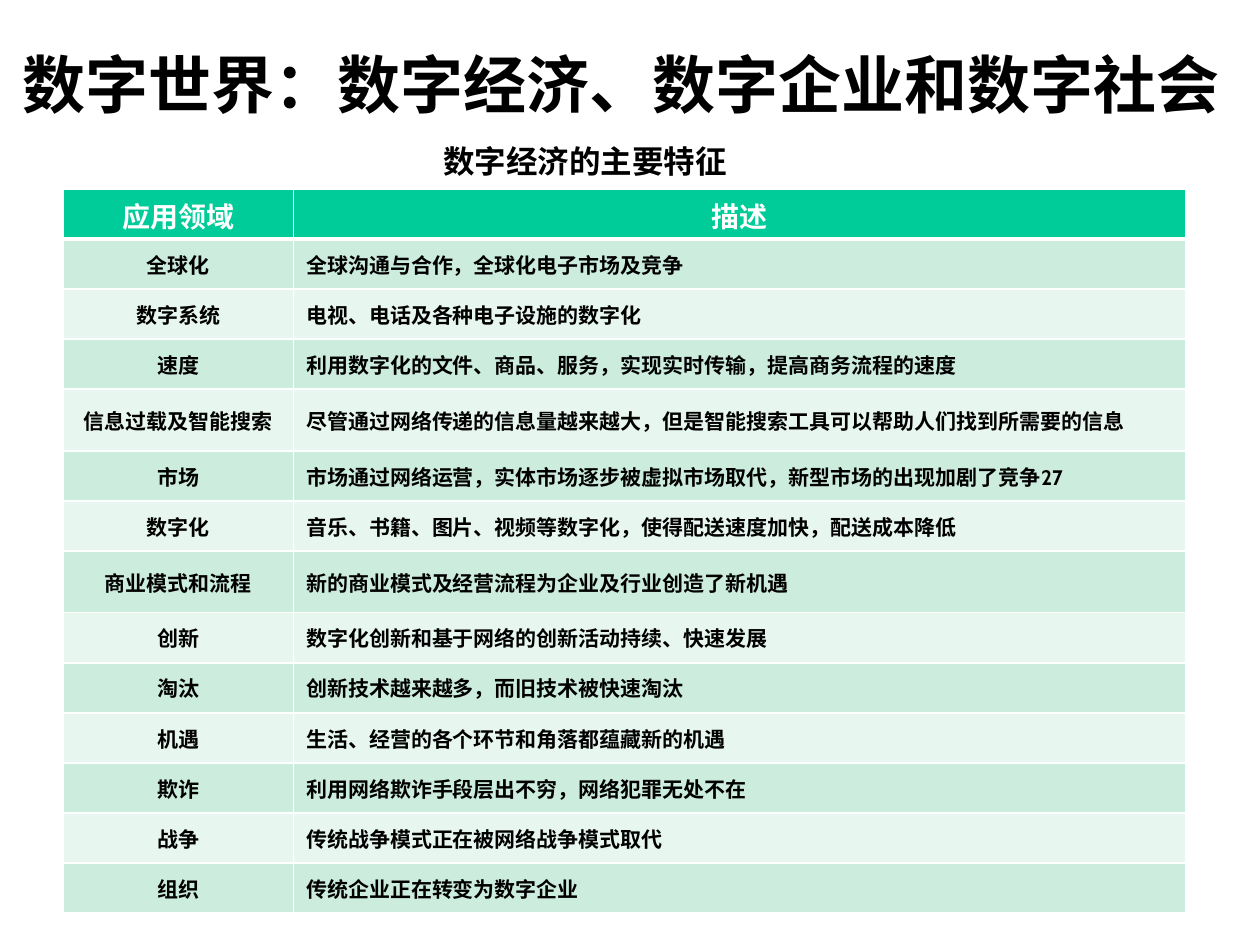
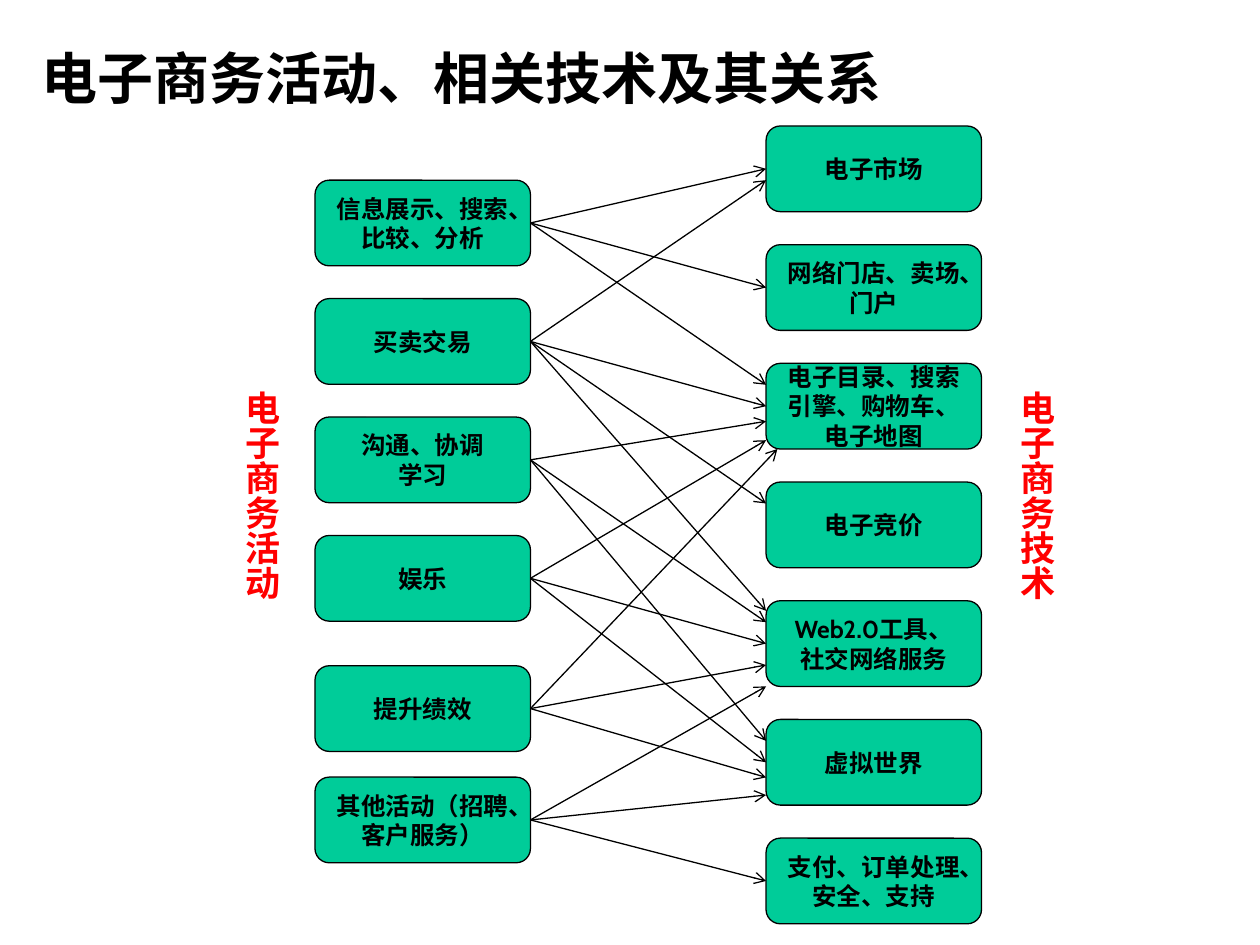
from typing import NamedTuple

from lxml import etree
from pptx import Presentation
from pptx.dml.color import RGBColor
from pptx.enum.lang import MSO_LANGUAGE_ID
from pptx.enum.shapes import MSO_CONNECTOR, MSO_SHAPE
from pptx.enum.text import MSO_ANCHOR, PP_ALIGN
from pptx.oxml.ns import qn
from pptx.util import Inches, Pt

LEFT, CENTER = PP_ALIGN.LEFT, PP_ALIGN.CENTER
TOP, MIDDLE = MSO_ANCHOR.TOP, MSO_ANCHOR.MIDDLE
ROUNDED = MSO_SHAPE.ROUNDED_RECTANGLE
STRAIGHT = MSO_CONNECTOR.STRAIGHT
CHINESE = MSO_LANGUAGE_ID.SIMPLIFIED_CHINESE
LEFT_SIDE, RIGHT_SIDE = 1, 3

BLACK, WHITE, RED = "000000", "FFFFFF", "FF0000"
GREEN, BAND_DARK, BAND_LIGHT = "00CC99", "CCECDE", "E7F6EF"
TITLE_FONT, BODY_FONT = "Arial", "Cabin"

SLIDE_W, SLIDE_H = 10, 7.5

# Feature table
TABLE_X, TABLE_Y, TABLE_H = 0.5, 1.5, 5.75
COLUMN_WIDTHS = (1.83, 7.08)
TALL_ROWS, TALL_H = (4, 7), 0.49

# Relationship diagram: two columns of boxes on a common row pitch
BOX_W, BOX_H, PITCH = 1.71, 0.68, 0.94
ACTIVITY_X, ACTIVITY_Y = 2.5, 1.43
TECH_X, TECH_Y, TECH_PITCH = 6.08, 1, 0.942
LINE_WIDTH = 0.75


class Feature(NamedTuple):
    area: str
    description: str


class Target(NamedTuple):
    """Technology an arrow reaches, with the offset from the middle of its left side."""
    tech: int
    dy: float = 0
    dx: float = 0


class Activity(NamedTuple):
    label: str
    row: float
    targets: tuple[Target, ...]


class SideLabel(NamedTuple):
    text: str
    x: float


HEADER = Feature("应用领域", "描述")
FEATURES = [
    Feature("全球化", "全球沟通与合作，全球化电子市场及竞争"),
    Feature("数字系统", "电视、电话及各种电子设施的数字化"),
    Feature("速度", "利用数字化的文件、商品、服务，实现实时传输，提高商务流程的速度"),
    Feature("信息过载及智能搜索",
            "尽管通过网络传递的信息量越来越大，但是智能搜索工具可以帮助人们找到所需要的信息"),
    Feature("市场", "市场通过网络运营，实体市场逐步被虚拟市场取代，新型市场的出现加剧了竞争27"),
    Feature("数字化", "音乐、书籍、图片、视频等数字化，使得配送速度加快，配送成本降低"),
    Feature("商业模式和流程", "新的商业模式及经营流程为企业及行业创造了新机遇"),
    Feature("创新", "数字化创新和基于网络的创新活动持续、快速发展"),
    Feature("淘汰", "创新技术越来越多，而旧技术被快速淘汰"),
    Feature("机遇", "生活、经营的各个环节和角落都蕴藏新的机遇"),
    Feature("欺诈", "利用网络欺诈手段层出不穷，网络犯罪无处不在"),
    Feature("战争", "传统战争模式正在被网络战争模式取代"),
    Feature("组织", "传统企业正在转变为数字企业"),
]

TECHNOLOGIES = [
    "电子市场",
    "网络门店、卖场、门户",
    "电子目录、搜索引擎、购物车、电子地图",
    "电子竞价",
    "Web2.0工具、社交网络服务",
    "虚拟世界",
    "支付、订单处理、安全、支持",
]

ACTIVITIES = [
    Activity("信息展示、搜索、比较、分析", 0, (Target(0), Target(1), Target(2, -0.17))),
    Activity("买卖交易", 1,
             (Target(0, 0.09), Target(2), Target(3, -0.17), Target(4, -0.26))),
    Activity("沟通、协调\n学习", 2, (Target(2, 0.12), Target(4, -0.17), Target(5, -0.17))),
    Activity("娱乐", 3, (Target(2, 0.27), Target(4), Target(5))),
    Activity("提升绩效", 4.1, (Target(2, 0.34, 0.09), Target(4, 0.17), Target(5, 0.12))),
    Activity("其他活动（招聘、客户服务）", 5.04,
             (Target(4, 0.34), Target(5, 0.26), Target(6))),
]

SIDE_LABELS = [SideLabel("电子商务活动", 1.81), SideLabel("电子商务技术", 7.96)]


def rgb(color: str) -> RGBColor:
    return RGBColor.from_string(color)


def write(frame, text: str, *, size: float, font: str = BODY_FONT, color: str = BLACK,
          align=LEFT) -> None:
    """Fill a text frame with bold text, one paragraph per line."""
    for index, line in enumerate(text.split("\n")):
        paragraph = frame.add_paragraph() if index else frame.paragraphs[0]
        paragraph.alignment = align
        run = paragraph.add_run()
        run.text = line
        run.font.name = font
        run.font.size = Pt(size)
        run.font.bold = True
        run.font.color.rgb = rgb(color)
        run.font.language_id = CHINESE


def add_text(slide, text: str, x: float, y: float, w: float, h: float, *,
             anchor=TOP, wrap: bool = True, vertical: bool = False, **text_format) -> None:
    frame = slide.shapes.add_textbox(Inches(x), Inches(y), Inches(w), Inches(h)).text_frame
    frame.word_wrap = wrap
    frame.vertical_anchor = anchor
    if vertical:
        frame._txBody.bodyPr.set("vert", "eaVert")
    write(frame, text, **text_format)


def add_title(slide, text: str, x: float, h: float, size: float) -> None:
    add_text(slide, text, x, 0.02 * SLIDE_H, SLIDE_W - 2 * x, h,
             anchor=MIDDLE, size=size, font=TITLE_FONT)


def set_borders(cell, bottom: float) -> None:
    """Draw white cell borders, 1 pt except for the bottom one."""
    properties = cell._tc.get_or_add_tcPr()
    for side, width in (("L", 1), ("R", 1), ("T", 1), ("B", bottom)):
        line = etree.SubElement(properties, qn(f"a:ln{side}"), w=str(Pt(width)))
        fill = etree.SubElement(line, qn("a:solidFill"))
        etree.SubElement(fill, qn("a:srgbClr"), val=WHITE)


def add_feature_table(slide) -> None:
    rows = [HEADER, *FEATURES]
    normal_h = (TABLE_H - TALL_H * len(TALL_ROWS)) / (len(rows) - len(TALL_ROWS))
    table = slide.shapes.add_table(
        len(rows), len(COLUMN_WIDTHS), Inches(TABLE_X), Inches(TABLE_Y),
        Inches(sum(COLUMN_WIDTHS)), Inches(TABLE_H)).table
    for column, width in zip(table.columns, COLUMN_WIDTHS):
        column.width = Inches(width)
    for r, feature in enumerate(rows):
        is_header = r == 0
        table.rows[r].height = Inches(TALL_H if r in TALL_ROWS else normal_h)
        band = GREEN if is_header else BAND_DARK if r % 2 else BAND_LIGHT
        for c, text in enumerate(feature):
            cell = table.cell(r, c)
            set_borders(cell, bottom=3 if is_header else 1)
            cell.fill.solid()
            cell.fill.fore_color.rgb = rgb(band)
            cell.vertical_anchor = MIDDLE
            write(cell.text_frame, text, size=16 if is_header else 12,
                  color=WHITE if is_header else BLACK,
                  align=CENTER if is_header or c == 0 else LEFT)


def add_box(slide, text: str, x: float, y: float):
    box = slide.shapes.add_shape(ROUNDED, Inches(x), Inches(y), Inches(BOX_W), Inches(BOX_H))
    box.shadow.inherit = False
    box.fill.solid()
    box.fill.fore_color.rgb = rgb(GREEN)
    box.line.color.rgb = rgb(BLACK)
    box.line.width = Pt(LINE_WIDTH)
    box.text_frame.word_wrap = True
    box.text_frame.vertical_anchor = MIDDLE
    write(box.text_frame, text, size=14, align=CENTER)
    return box


def add_arrow(slide, activity_box, tech_box, target: Target) -> None:
    arrow = slide.shapes.add_connector(
        STRAIGHT, activity_box.left + activity_box.width,
        activity_box.top + activity_box.height // 2,
        tech_box.left + Inches(target.dx),
        tech_box.top + tech_box.height // 2 + Inches(target.dy))
    arrow.begin_connect(activity_box, RIGHT_SIDE)
    if not (target.dx or target.dy):
        arrow.end_connect(tech_box, LEFT_SIDE)
    arrow.line.color.rgb = rgb(BLACK)
    arrow.line.width = Pt(LINE_WIDTH)
    etree.SubElement(arrow.line._get_or_add_ln(), qn("a:tailEnd"), type="arrow")
    etree.SubElement(arrow._element.spPr, qn("a:effectLst"))


def build_features_slide(slide) -> None:
    add_title(slide, "数字世界：数字经济、数字企业和数字社会", 0.08, 1.02, 36)
    add_feature_table(slide)
    add_text(slide, "数字经济的主要特征", 3.42, 1.08, 2.49, 0.4, wrap=False, size=18)


def build_relations_slide(slide) -> None:
    add_title(slide, "电子商务活动、相关技术及其关系", 0.23, 0.93, 32)
    activity_boxes = [add_box(slide, activity.label, ACTIVITY_X, ACTIVITY_Y + activity.row * PITCH)
                      for activity in ACTIVITIES]
    tech_boxes = [add_box(slide, label, TECH_X, TECH_Y + row * TECH_PITCH)
                  for row, label in enumerate(TECHNOLOGIES)]
    for activity, box in zip(ACTIVITIES, activity_boxes):
        for target in activity.targets:
            add_arrow(slide, box, tech_boxes[target.tech], target)
    for label in SIDE_LABELS:
        add_text(slide, label.text, label.x, 0.4 * SLIDE_H, 0.54, 2.12,
                 anchor=MIDDLE, vertical=True, size=20, color=RED)


def main() -> None:
    deck = Presentation()
    deck.slide_width, deck.slide_height = Inches(SLIDE_W), Inches(SLIDE_H)
    blank = deck.slide_layouts[6]
    for build in (build_features_slide, build_relations_slide):
        build(deck.slides.add_slide(blank))
    deck.save("out.pptx")


if __name__ == "__main__":
    main()
